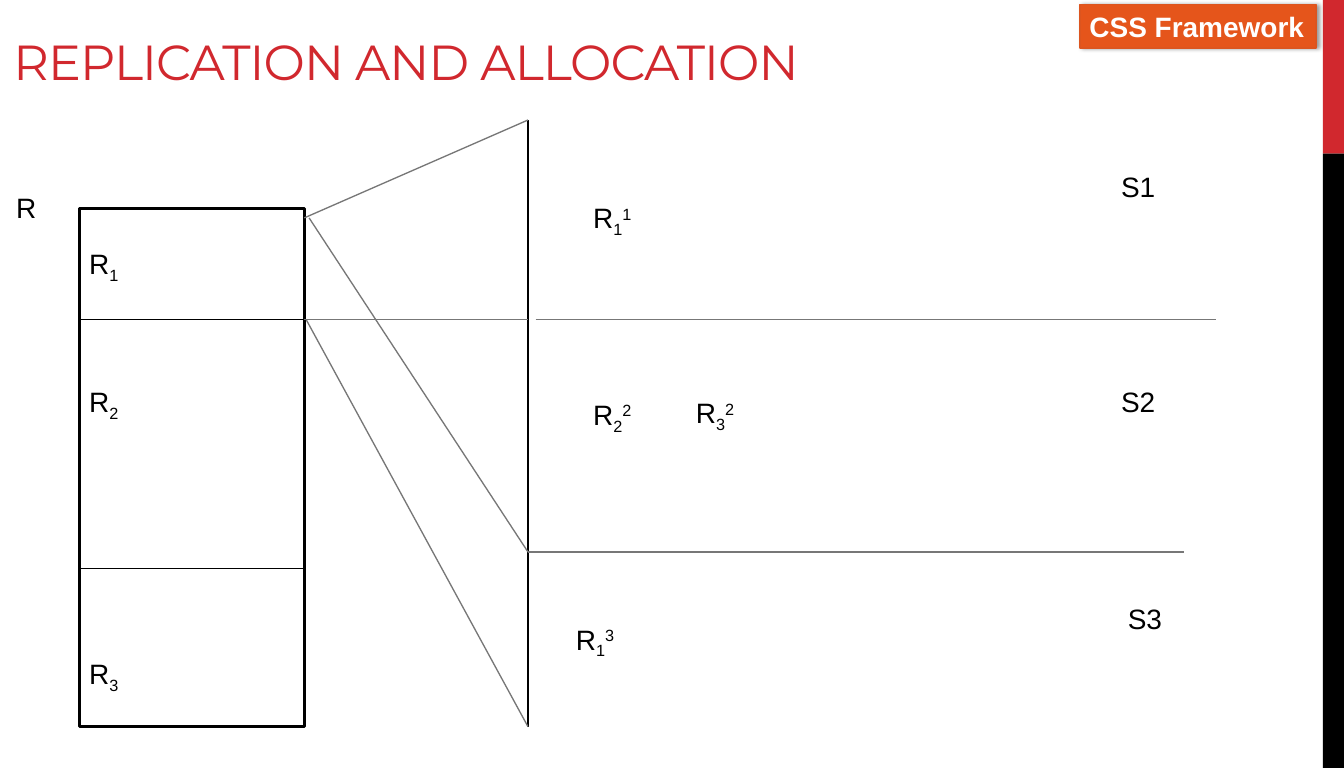
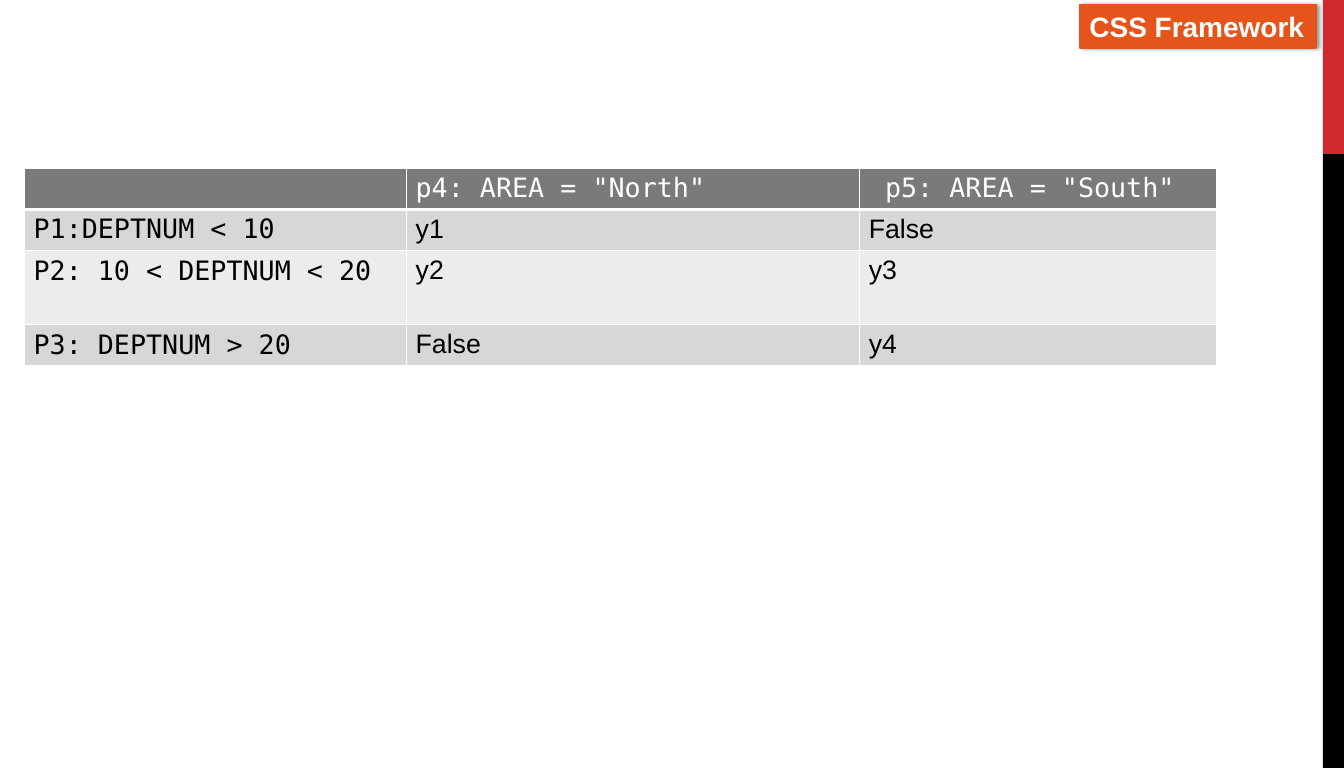
import pptx
import pptx.util
import pptx.dml.color
import pptx.enum.shapes
import pptx.enum.text
import pptx.oxml
import pptx.oxml.ns
from dataclasses import dataclass

Inches = pptx.util.Inches
Pt = pptx.util.Pt
RGB = pptx.dml.color.RGBColor.from_string
RECT = pptx.enum.shapes.MSO_SHAPE.RECTANGLE
LINK = pptx.enum.shapes.MSO_CONNECTOR.STRAIGHT
ANCHOR = pptx.enum.text.MSO_ANCHOR
LEFT = pptx.enum.text.PP_ALIGN.LEFT
NS = pptx.oxml.ns.nsdecls("a")


@dataclass(frozen=True)
class Theme:
    red: str = "D1282E"
    black: str = "000000"
    white: str = "FFFFFF"
    orange: str = "E5551B"
    rim: str = "DC551F"
    gray: str = "777777"
    head: str = "7A7A7A"
    odd: str = "D7D7D7"
    even: str = "ECECEC"
    sans: str = "Arial"
    mono: str = "DejaVu Sans Mono"
    display: str = "Montserrat"
    body: float = 21
    cell: float = 20
    title: float = 36.9


T = Theme()


# Shared helpers
def apply(item, form):
    for key, val in form.items():
        setattr(item, key, val)


def write(para, text, color=T.black, base=0, **form):
    run = para.add_run()
    run.text = text
    run.font.color.rgb = RGB(color)
    apply(run.font, {"name": T.sans, "size": Pt(T.body), **form})
    if base:
        run.font._element.set("baseline", str(base * 1000))
    return run


def symbol(para, sub="", sup=""):
    for text, base in (("R", 0), (sub, -25), (sup, 30)):
        if text:
            write(para, text, base=base)


def rect(slide, box, fill, line=None, width=1):
    shape = slide.shapes.add_shape(RECT, *map(Inches, box))
    shape.shadow.inherit = False
    shape.fill.solid()
    shape.fill.fore_color.rgb = RGB(fill)
    if line:
        shape.line.color.rgb = RGB(line)
        shape.line.width = Pt(width)
    else:
        shape.line.fill.background()
    return shape


def rule(slide, x1, y1, x2, y2, color=T.gray):
    line = slide.shapes.add_connector(LINK, *map(Inches, (x1, y1, x2, y2)))
    line.line.color.rgb = RGB(color)
    line.line.width = Pt(1)
    line._element.spPr.append(pptx.oxml.parse_xml(f"<a:effectLst {NS}/>"))


def label(slide, x, y, width=0.63):
    area = slide.shapes.add_textbox(*map(Inches, (x, y, width, 0.45)))
    area.text_frame.word_wrap = False
    return area.text_frame.paragraphs[0]


# Side band and badge, on every slide
def frame(slide, wide, high):
    band, split = 0.22, 1.6
    rect(slide, (wide - band, 0, band, split), T.red)
    rect(slide, (wide - band, split, band, high - split), T.black)
    badge = rect(slide, (wide - 2.75, 0.05, 2.46, 0.45), T.orange, T.rim)
    glow = badge._element.spPr.find(pptx.oxml.ns.qn("a:effectLst"))
    glow.append(pptx.oxml.parse_xml(
        f'<a:outerShdw {NS} blurRad="{Pt(3.1)}" dist="{Pt(1.8)}" dir="0">'
        f'<a:srgbClr val="{T.black}"><a:alpha val="40000"/></a:srgbClr>'
        "</a:outerShdw>"))
    apply(badge.text_frame, {"word_wrap": False, "vertical_anchor": ANCHOR.TOP})
    para = badge.text_frame.paragraphs[0]
    para.alignment = LEFT
    write(para, "CSS Framework", T.white, bold=True)


def heading(slide, box, text):
    area = slide.shapes.add_textbox(*map(Inches, box)).text_frame
    apply(area, {"word_wrap": True, "vertical_anchor": ANCHOR.BOTTOM,
                 "margin_left": Inches(0.11), "margin_right": Inches(0.11),
                 "margin_top": Inches(0.06), "margin_bottom": Inches(0.06)})
    run = write(area.paragraphs[0], text, T.red,
                name=T.display, size=Pt(T.title))
    run.font._element.set("spc", "-70")


# Relation R, cut into three fragments
def relation(slide, box):
    x, y, w, h = box
    area = rect(slide, box, T.white, T.black, 2.25).text_frame
    apply(area, {"word_wrap": True, "vertical_anchor": ANCHOR.TOP,
                 "margin_top": Inches(0.4)})
    for num, gap in enumerate((0, 75, 175), 1):
        para = area.paragraphs[0] if num == 1 else area.add_paragraph()
        apply(para, {"alignment": LEFT, "space_before": Pt(gap)})
        symbol(para, str(num))
    for cut in (1.16, 3.75):
        rule(slide, x, y + cut, x + w, y + cut, T.black)
    symbol(label(slide, x - 0.76, y - 0.23, 0.41))


# Sites S1 to S3 and the copies each one holds
def sites(slide, box):
    x, y, w, h = box
    rule(slide, x, y, x, y + h, T.black)
    rule(slide, x + 0.08, y + 2.08, x + w, y + 2.08)
    rule(slide, x, y + 4.5, x + w - 0.34, y + 4.5)
    for name, dx, dy in (("S1", 6.08, 0.47), ("S2", 6.08, 2.71),
                         ("S3", 6.15, 4.97)):
        write(label(slide, x + dx, y + dy, 0.56), name)
    for sub, sup, dx, dy in (("1", "1", 0.58, 0.79), ("2", "2", 0.58, 2.84),
                             ("3", "2", 1.65, 2.82), ("1", "3", 0.4, 5.18)):
        symbol(label(slide, x + dx, y + dy), sub, sup)


# Rays from the first fragment to the sites
def rays(slide, left, right):
    x, y = left
    end, top = right
    for dx, dy, drop in ((0, 0, 0), (0, 1.06, 2.08),
                         (0.05, 0, 4.5), (0.02, 1.06, 6.32)):
        rule(slide, x + dx, y + dy, end, top + drop)


def diagram(slide):
    heading(slide, (0.03, 0.07, 9.97, 0.93), "REPLICATION AND ALLOCATION")
    relation(slide, (0.83, 2.17, 2.34, 5.4))
    sites(slide, (5.5, 1.25, 7.17, 6.32))
    rays(slide, (3.17, 2.27), (5.5, 1.25))


# Table of predicates
def border(cell, head):
    prop = cell._tc.get_or_add_tcPr()
    for side in "LRTB":
        width = Pt(3 if head and side == "B" else 1)
        prop.append(pptx.oxml.parse_xml(
            f'<a:ln{side} {NS} w="{width}"><a:solidFill>'
            f'<a:srgbClr val="{T.white}"/></a:solidFill></a:ln{side}>'))


def grid(slide, x, y):
    rows = (("", 'p4: AREA = "North"', 'p5: AREA = "South"'),
            ("P1:DEPTNUM < 10", "y1", "False"),
            ("P2: 10 < DEPTNUM < 20", "y2", "y3"),
            ("P3: DEPTNUM > 20", "False", "y4"))
    cols, highs = (3.98, 4.72, 3.72), (0.43, 0.43, 0.77, 0.43)
    box = (x, y, sum(cols), sum(highs))
    table = slide.shapes.add_table(len(rows), len(cols),
                                   *map(Inches, box)).table
    for col, width in zip(table.columns, cols):
        col.width = Inches(width)
    for i, (row, high) in enumerate(zip(rows, highs)):
        table.rows[i].height = Inches(high)
        head = i == 0
        fill = T.head if head else T.odd if i % 2 else T.even
        for j, text in enumerate(row):
            cell = table.cell(i, j)
            border(cell, head)
            cell.fill.solid()
            cell.fill.fore_color.rgb = RGB(fill)
            if text:
                write(cell.text_frame.paragraphs[0], text,
                      T.white if head else T.black, size=Pt(T.cell),
                      name=T.mono if head or j == 0 else T.sans, bold=False)
    table.cell(0, 2).margin_left = Inches(0.27)


def matrix(slide):
    grid(slide, 0.25, 1.75)


def main():
    deck = pptx.Presentation()
    wide, high = 14, 8
    apply(deck, {"slide_width": Inches(wide), "slide_height": Inches(high)})
    for build in (diagram, matrix):
        slide = deck.slides.add_slide(deck.slide_layouts[6])
        frame(slide, wide, high)
        build(slide)
    deck.save("out.pptx")


if __name__ == "__main__":
    main()
